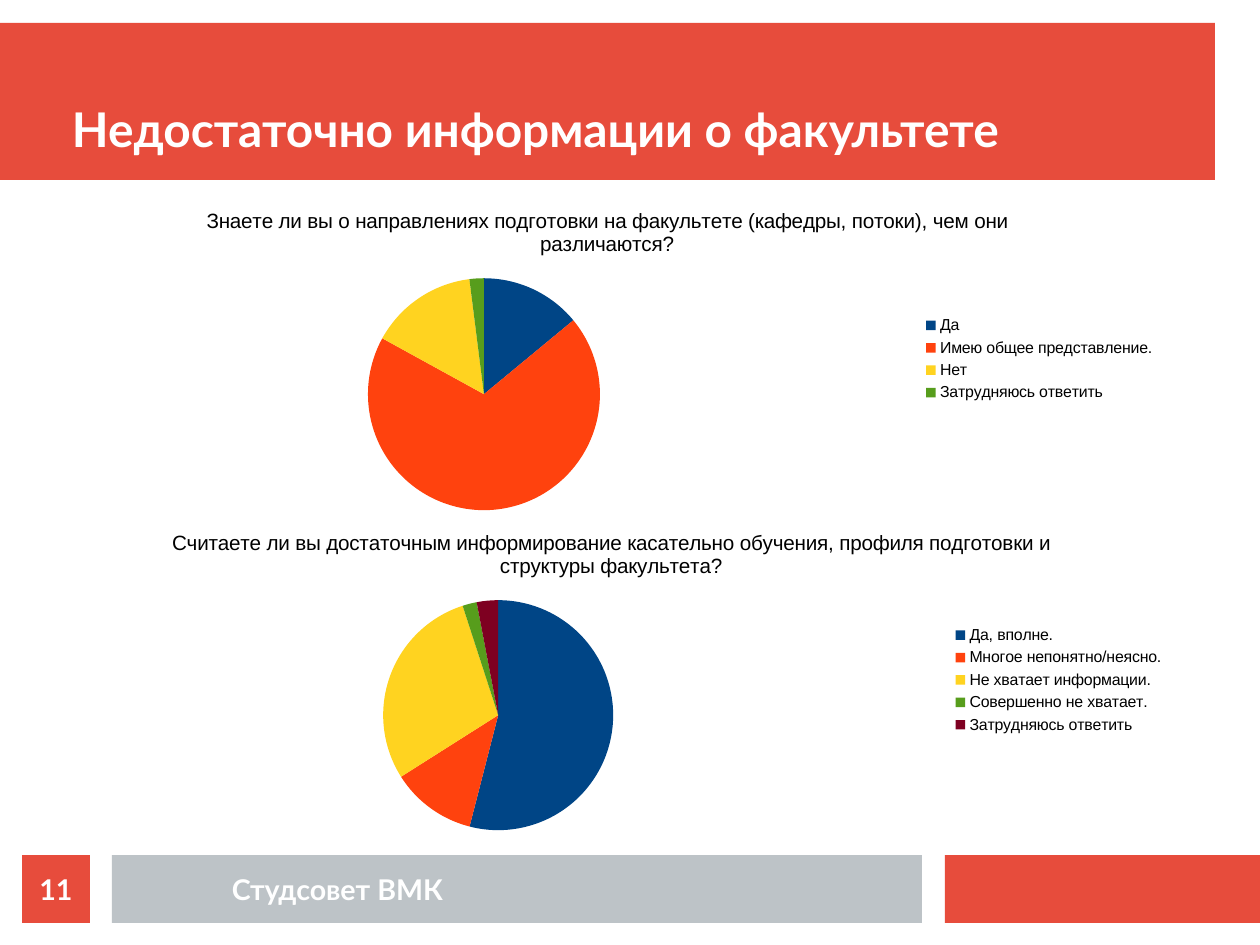
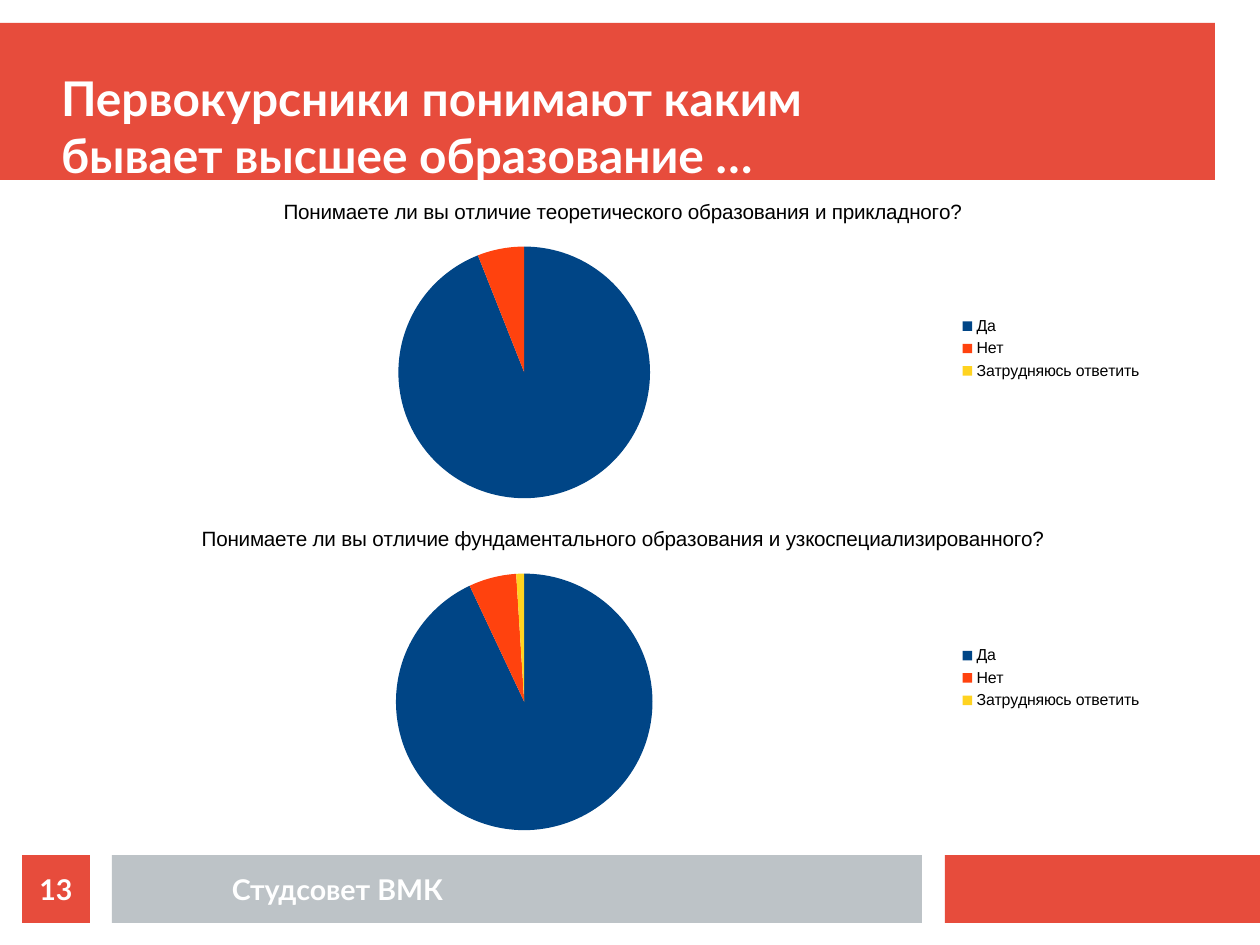
import pptx
import pptx.chart.data
import pptx.dml.color
import pptx.enum.chart
import pptx.enum.shapes
import pptx.enum.text
import pptx.util

RGBColor = pptx.dml.color.RGBColor
WHITE = RGBColor(0xFF, 0xFF, 0xFF)
BLACK = RGBColor(0x00, 0x00, 0x00)
RED = RGBColor(0xE7, 0x4C, 0x3C)
GREY = RGBColor(0xBD, 0xC3, 0xC7)
PIE_COLORS = [
    RGBColor(0x00, 0x45, 0x86),
    RGBColor(0xFF, 0x42, 0x0E),
    RGBColor(0xFF, 0xD3, 0x20),
    RGBColor(0x57, 0x9D, 0x1C),
    RGBColor(0x7E, 0x00, 0x21),
]

EMU_PER_PX = 8000
SLIDE_WIDTH, SLIDE_HEIGHT = 1260, 945
FOOTER_TOP, FOOTER_HEIGHT = 855, 68

HEADER_BAND = (0, 23, 1215, 157)
FOOTER_ACCENT = (945, FOOTER_TOP, 315, FOOTER_HEIGHT)
FOOTER_BAND = (112, FOOTER_TOP, 810, FOOTER_HEIGHT)
FOOTER_LABEL = (135, FOOTER_TOP, 405, FOOTER_HEIGHT)
NUMBER_BOX = (22, FOOTER_TOP, 68, FOOTER_HEIGHT)

# Each slide: number, title, title box, then (question, box, answers) per chart.
SLIDES = [
    (11, "Недостаточно информации о факультете", (72, 45, 1143, 112), [
        ("Знаете ли вы о направлениях подготовки на факультете (кафедры, потоки), "
         "чем они различаются?", (47, 192, 1120, 334),
         {"Да": 14, "Имею общее представление.": 69, "Нет": 15,
          "Затрудняюсь ответить": 2}),
        ("Считаете ли вы достаточным информирование касательно обучения, "
         "профиля подготовки и структуры факультета?", (46, 514, 1130, 332),
         {"Да, вполне.": 54, "Многое непонятно/неясно.": 12,
          "Не хватает информации.": 29, "Совершенно не хватает.": 2,
          "Затрудняюсь ответить": 3}),
    ]),
    (13, "Первокурсники понимают каким бывает высшее образование …",
     (61, 14, 900, 169), [
        ("Понимаете ли вы отличие теоретического образования и прикладного?",
         (91, 183, 1063, 331), {"Да": 94, "Нет": 6, "Затрудняюсь ответить": 0}),
        ("Понимаете ли вы отличие фундаментального образования и "
         "узкоспециализированного?",
         (91, 510, 1063, 336), {"Да": 93, "Нет": 6, "Затрудняюсь ответить": 1}),
     ]),
]


def px(count):
    return pptx.util.Emu(count * EMU_PER_PX)


def scaled(box):
    return [px(length) for length in box]


def style_font(font, name, size, color, bold=False):
    font.name = name
    font.size = pptx.util.Pt(size)
    font.color.rgb = color
    font.bold = bold


def write(shape, text, size, align, anchor):
    """Fill a shape with bold white text and no inner margins."""
    frame = shape.text_frame
    frame.text = text
    frame.word_wrap = True
    frame.auto_size = pptx.enum.text.MSO_AUTO_SIZE.NONE
    frame.vertical_anchor = anchor
    frame.margin_left = frame.margin_right = 0
    frame.margin_top = frame.margin_bottom = 0
    paragraph = frame.paragraphs[0]
    paragraph.alignment = align
    style_font(paragraph.runs[0].font, "Lato", size, WHITE, bold=True)


def write_footer(shape, text):
    write(shape, text, 18, pptx.enum.text.PP_ALIGN.CENTER,
          pptx.enum.text.MSO_ANCHOR.MIDDLE)


def add_band(slide, box, color):
    band = slide.shapes.add_shape(
        pptx.enum.shapes.MSO_SHAPE.RECTANGLE, *scaled(box))
    band.shadow.inherit = False
    band.fill.solid()
    band.fill.fore_color.rgb = color
    band.line.fill.background()
    return band


def move_bands_to_layout(slide, layout):
    """Draw the shared bands once, behind everything on the layout."""
    bands = [(HEADER_BAND, RED), (FOOTER_ACCENT, RED), (FOOTER_BAND, GREY)]
    for position, (box, color) in enumerate(bands, start=2):
        layout.shapes.element.insert(position, add_band(slide, box, color).element)


def set_title(slide, text, box):
    title = slide.shapes.title
    title.left, title.top, title.width, title.height = scaled(box)
    write(title, text, 30.1, pptx.enum.text.PP_ALIGN.LEFT,
          pptx.enum.text.MSO_ANCHOR.BOTTOM)


def add_footer(slide, number):
    write_footer(slide.shapes.add_textbox(*scaled(FOOTER_LABEL)), "Студсовет ВМК")
    write_footer(add_band(slide, NUMBER_BOX, RED), str(number))


def add_survey_pie(slide, question, box, answers):
    data = pptx.chart.data.CategoryChartData()
    data.categories = list(answers)
    data.add_series("Series 1", list(answers.values()))
    chart = slide.shapes.add_chart(
        pptx.enum.chart.XL_CHART_TYPE.PIE, *scaled(box), data).chart
    style_font(chart.font, "Arial", 10, BLACK)

    chart.has_title = True
    chart.chart_title.include_in_layout = False
    heading = chart.chart_title.text_frame
    heading.text = question
    style_font(heading.paragraphs[0].runs[0].font, "Arial", 13, BLACK)

    chart.has_legend = True
    chart.legend.position = pptx.enum.chart.XL_LEGEND_POSITION.RIGHT
    chart.legend.include_in_layout = False
    style_font(chart.legend.font, "Arial", 10, BLACK)

    plot = chart.plots[0]
    plot.vary_by_categories = True
    for index, color in enumerate(PIE_COLORS[:len(answers)]):
        wedge = plot.series[0].points[index].format
        wedge.fill.solid()
        wedge.fill.fore_color.rgb = color
        wedge.line.fill.background()


def main():
    deck = pptx.Presentation()
    deck.slide_width, deck.slide_height = px(SLIDE_WIDTH), px(SLIDE_HEIGHT)
    layout = deck.slide_layouts.get_by_name("Title Only")
    for number, title, title_box, surveys in SLIDES:
        slide = deck.slides.add_slide(layout)
        if len(deck.slides) == 1:
            move_bands_to_layout(slide, layout)
        set_title(slide, title, title_box)
        for question, box, answers in surveys:
            add_survey_pie(slide, question, box, answers)
        add_footer(slide, number)
    deck.save("out.pptx")


if __name__ == "__main__":
    main()
